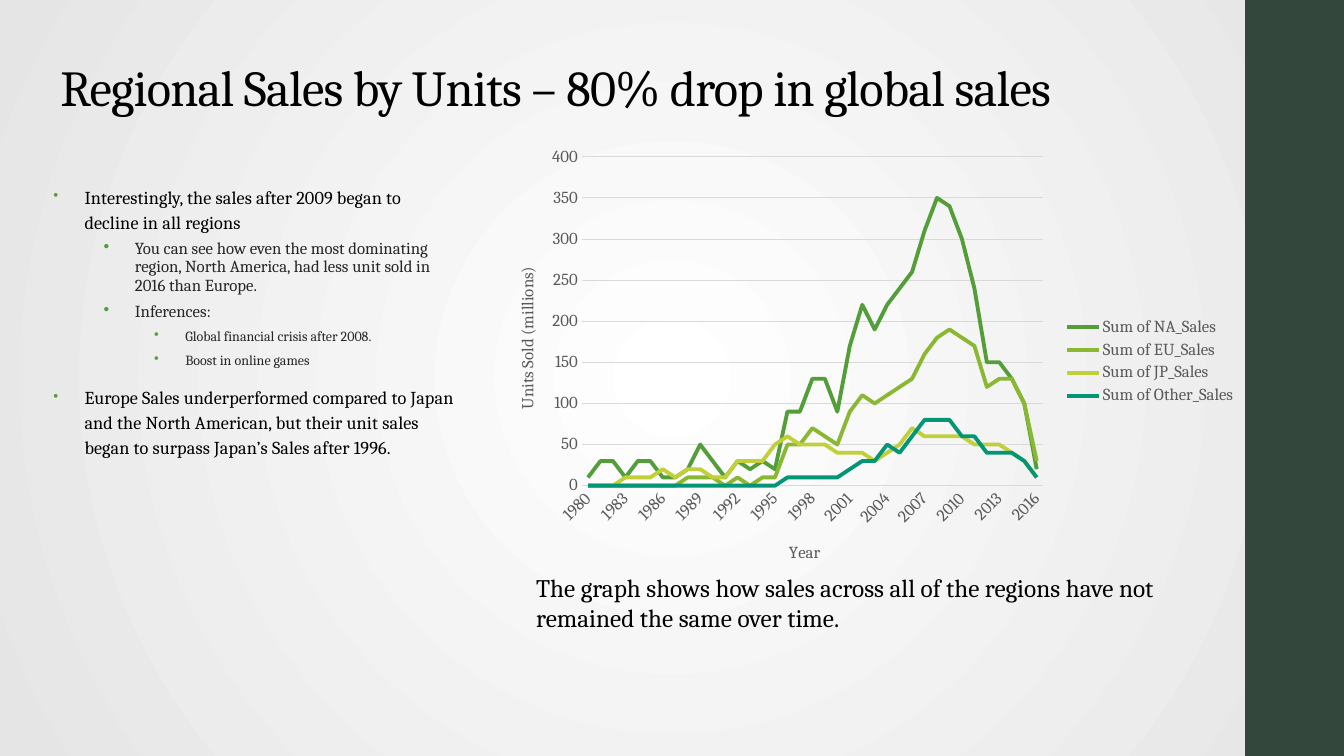
from lxml.etree import SubElement as Sub
from pptx import Presentation
from pptx.chart.data import CategoryChartData as Data
from pptx.dml.color import RGBColor as RGB
from pptx.enum.chart import XL_CHART_TYPE as Kind, XL_LEGEND_POSITION as Spot, XL_TICK_MARK as Tick
from pptx.enum.shapes import MSO_SHAPE as Shape
from pptx.enum.text import MSO_ANCHOR as Anchor
from pptx.oxml import parse_xml
from pptx.oxml.ns import nsdecls, qn
from pptx.util import Inches, Pt

FACE = "Cambria"
HUES = {"ink": "000000", "soft": "262626", "gray": "595959", "grid": "D9D9D9",
        "band": "34473D", "white": "FFFFFF", "edge": "E5E5E5", "leaf": "549E39"}

# Units sold in millions, 1980 to 2016
SALES = [
    ("Sum of NA_Sales", "549E39",
     [10, 30, 30, 10, 30, 30, 10, 10, 20, 50, 30, 10, 30, 20, 30, 20, 90, 90, 130, 130, 90, 170,
      220, 190, 220, 240, 260, 310, 350, 340, 300, 240, 150, 150, 130, 100, 20]),
    ("Sum of EU_Sales", "8AB833",
     [0, 0, 0, 0, 0, 0, 0, 0, 10, 10, 10, 0, 10, 0, 10, 10, 50, 50, 70, 60, 50, 90,
      110, 100, 110, 120, 130, 160, 180, 190, 180, 170, 120, 130, 130, 100, 30]),
    ("Sum of JP_Sales", "C0CF3A",
     [0, 0, 0, 10, 10, 10, 20, 10, 20, 20, 10, 10, 30, 30, 30, 50, 60, 50, 50, 50, 40, 40,
      40, 30, 40, 50, 70, 60, 60, 60, 60, 50, 50, 50, 40, 30, 10]),
    ("Sum of Other_Sales", "029676",
     [0] * 16 + [10, 10, 10, 10, 10, 20, 30, 30, 50, 40, 60, 80, 80, 80, 60, 60, 40, 40, 40, 30, 10]),
]

# Level and wording of each bullet
NOTES = [
    (0, "Interestingly, the sales after 2009 began to decline in all regions"),
    (1, "You can see how even the most dominating region, North America, "
        "had less unit sold in 2016 than Europe."),
    (1, "Inferences:"),
    (2, "Global financial crisis after 2008."),
    (2, "Boost in online games"),
    (0, "Europe Sales underperformed compared to Japan and the North American, "
        "but their unit sales began to surpass Japan’s Sales after 1996."),
]

# Format of each bullet level
STYLES = [
    dict(size=13, track=0.1, lead=1.14, before=8, after=2, dot=80),
    dict(size=12, hue="soft", lead=0.9, before=3, after=3, dot=100),
    dict(size=10, hue="soft", lead=0.9, before=3, after=3, dot=100),
]


def tint(hue):
    return RGB.from_string(HUES.get(hue, hue))


def style(font, size, hue):
    font.name, font.size, font.bold = FACE, Pt(size), False
    font.color.rgb = tint(hue)


def write(para, text, size=12, hue="ink", track=0, lead=None, before=0, after=0, level=0, dot=None):
    para.level = level
    para.line_spacing = lead
    para.space_before, para.space_after = Pt(before), Pt(after)
    if dot:
        props = para._p.get_or_add_pPr()
        props.set("marL", str(Inches(0.31 + 0.5 * level)))
        props.set("indent", str(Inches(-0.31)))
        Sub(Sub(props, qn("a:buClr")), qn("a:srgbClr")).set("val", HUES["leaf"])
        Sub(props, qn("a:buSzPct")).set("val", str(dot * 1000))
        Sub(props, qn("a:buChar")).set("char", "•")
    run = para.add_run()
    run.text = text
    style(run.font, size, hue)
    if track:
        run.font._element.set("spc", str(round(track * 100)))


def frame(slide, box, anchor=Anchor.TOP):
    text = slide.shapes.add_textbox(*map(Inches, box)).text_frame
    text.word_wrap, text.vertical_anchor = True, anchor
    return text


def backdrop(slide, box):
    # Radial gradient
    fill = slide.background.fill
    fill.gradient()
    for stop, hue, spot in zip(fill.gradient_stops, ("white", "edge"), (0, 1)):
        stop.color.rgb, stop.position = tint(hue), spot
    grad = slide.element.find(".//" + qn("a:gradFill"))
    grad.remove(grad.find(qn("a:lin")))
    ring = Sub(grad, qn("a:path"))
    ring.set("path", "circle")
    rect = Sub(ring, qn("a:fillToRect"))
    for side in "ltrb":
        rect.set(side, "100000")
    # Side band
    band = slide.shapes.add_shape(Shape.RECTANGLE, *map(Inches, box))
    band.shadow.inherit = False
    band.fill.solid()
    band.fill.fore_color.rgb = tint("band")
    band.line.fill.background()


def bullets(slide, box):
    text = frame(slide, box)
    for i, (level, words) in enumerate(NOTES):
        para = text.add_paragraph() if i else text.paragraphs[0]
        look = STYLES[level] if i else {**STYLES[level], "before": 0}
        write(para, words, level=level, **look)


def place(node, index, x, y, w=None, h=None):
    for old in node.findall(qn("c:layout")):
        node.remove(old)
    lay = parse_xml(f"<c:layout {nsdecls('c')}><c:manualLayout/></c:layout>")
    spots = [("xMode", "edge"), ("yMode", "edge"), ("x", x), ("y", y)]
    if w:
        spots = [("layoutTarget", "inner")] + spots + [("w", w), ("h", h)]
    for tag, val in spots:
        Sub(lay[0], qn("c:" + tag)).set("val", str(val))
    node.insert(index, lay)


def graph(slide, box):
    data = Data()
    data.categories = [str(year) for year in range(1980, 2017)]
    for name, _, vals in SALES:
        data.add_series(name, vals)
    chart = slide.shapes.add_chart(Kind.LINE, *map(Inches, box), data).chart
    chart.has_title = False
    style(chart.font, 10, "ink")
    chart.plots[0].vary_by_categories = False
    for line, (_, hue, _) in zip(chart.plots[0].series, SALES):
        line.smooth = False
        line.format.line.width = Pt(2.75)
        line.format.line.color.rgb = tint(hue)

    # Axes
    years, units = chart.category_axis, chart.value_axis
    for axis, name, x, y in ((years, "Year", 0.39, 0.9),
                             (units, "Units Sold (millions)", 0.03, 0.28)):
        axis.major_tick_mark = axis.minor_tick_mark = Tick.NONE
        style(axis.tick_labels.font, 12, "gray")
        title = axis.axis_title
        write(title.text_frame.paragraphs[0], name, hue="gray")
        place(title._element, 1, x, y)
    years.format.line.color.rgb = tint("grid")
    years.format.line.width = Pt(1)
    units.format.line.fill.background()
    units.minimum_scale, units.maximum_scale, units.major_unit = 0, 400, 50
    units.major_gridlines.format.line.color.rgb = tint("grid")
    units.major_gridlines.format.line.width = Pt(0.75)

    # Slanted label for every third year
    root = years._element
    root.find(qn("c:txPr")).find(qn("a:bodyPr")).set("rot", "-2700000")
    skip = parse_xml(f"<c:tickLblSkip {nsdecls('c')} val='3'/>")
    root.find(qn("c:noMultiLvlLbl")).addprevious(skip)

    # Legend and plot area
    chart.has_legend = True
    chart.legend.position = Spot.RIGHT
    chart.legend.include_in_layout = False
    style(chart.legend.font, 12, "gray")
    place(root.getparent(), 0, 0.12, 0.04, 0.61, 0.74)


def main():
    deck = Presentation()
    deck.slide_width, deck.slide_height = Inches(13.33), Inches(7.5)
    slide = deck.slides.add_slide(deck.slide_layouts[6])
    backdrop(slide, (12.35, 0, 1, 7.5))
    head = frame(slide, (0.5, 0.44, 11.51, 0.77), Anchor.BOTTOM)
    write(head.paragraphs[0], "Regional Sales by Units – 80% drop in global sales",
          size=36, track=-0.5, lead=0.9)
    graph(slide, (4.87, 1.38, 7.5, 4.41))
    bullets(slide, (0.43, 1.77, 4.18, 4.47))
    foot = frame(slide, (5.22, 5.63, 6.67, 0.71))
    write(foot.paragraphs[0], "The graph shows how sales across all of the regions "
          "have not remained the same over time.", size=18)
    deck.save("out.pptx")


if __name__ == "__main__":
    main()
